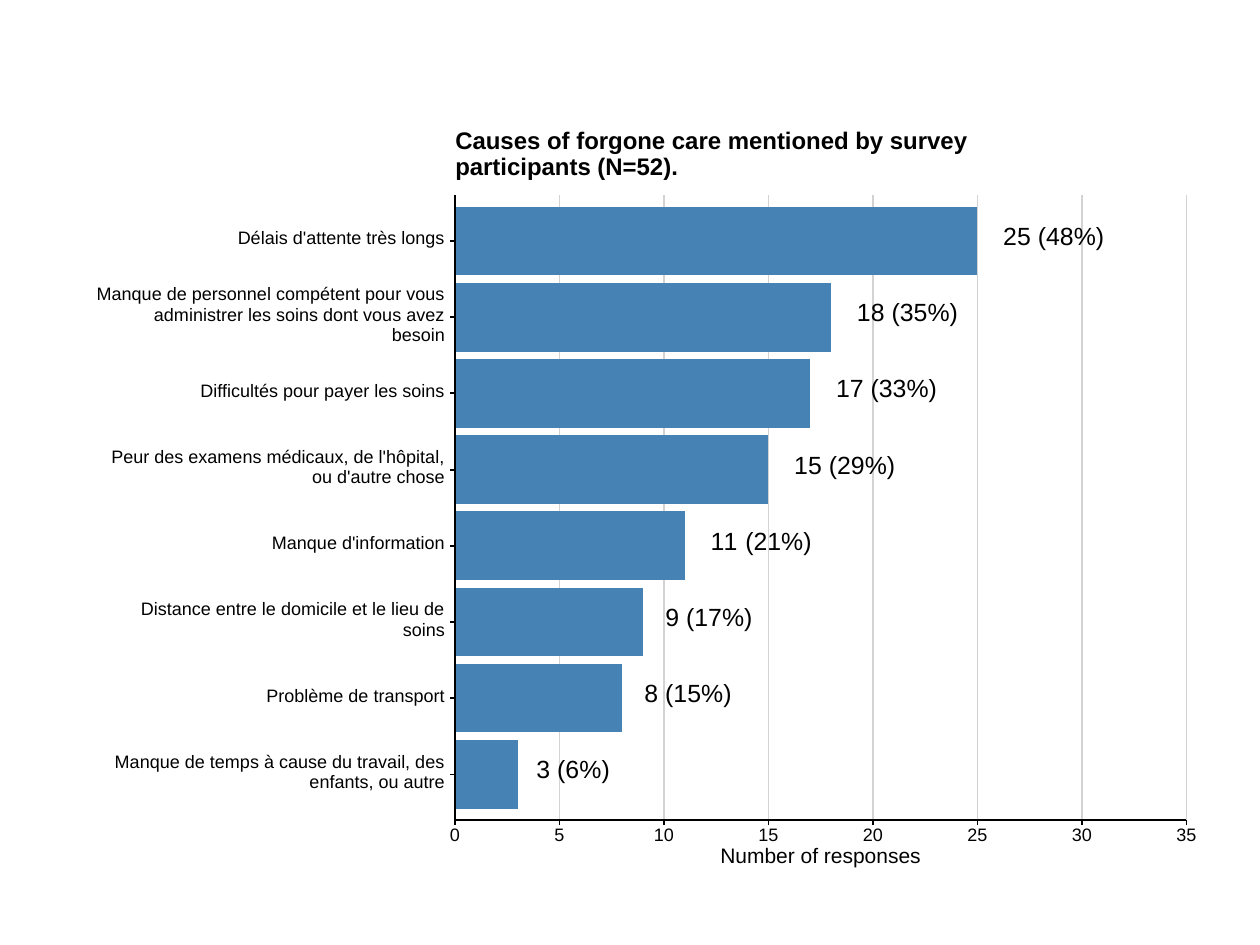
from pptx import Presentation
from pptx.chart.data import CategoryChartData as Data
from pptx.dml.color import RGBColor as RGB
from pptx.enum.chart import XL_CHART_TYPE as Kind
from pptx.enum.chart import XL_LABEL_POSITION as Spot
from pptx.enum.shapes import MSO_CONNECTOR as Link
from pptx.enum.text import MSO_ANCHOR as Anchor
from pptx.enum.text import PP_ALIGN as Align
from pptx.oxml import parse_xml
from pptx.util import Pt

TITLE = "Causes of forgone care mentioned by survey participants (N=52)."
AXIS = "Number of responses"
TOTAL, TOP, STEP = 52, 35, 5
CAUSES = [
    ("Délais d'attente très longs", 25),
    ("Manque de personnel compétent pour vous\nadministrer les soins dont vous avez\nbesoin", 18),
    ("Difficultés pour payer les soins", 17),
    ("Peur des examens médicaux, de l'hôpital,\nou d'autre chose", 15),
    ("Manque d'information", 11),
    ("Distance entre le domicile et le lieu de\nsoins", 9),
    ("Problème de transport", 8),
    ("Manque de temps à cause du travail, des\nenfants, ou autre", 3),
]
THEME = {
    "font": "Arial", "ink": RGB(0, 0, 0), "bar": RGB(0x46, 0x82, 0xB4),
    "grid": RGB(0xD3, 0xD3, 0xD3), "line": 1.07,
    "title": 13.7, "label": 14.2, "tick": 10.3, "axis": 12,
}
HEAD = (260.2, 73.2, 310, 30)
CHART = (36, 108, 648, 396)
X, Y, W, H = 260, 111.6, 418, 357.1
PITCH = H / (len(CAUSES) + 0.2)
PAD = 0.1 * PITCH
TICK = 2.75
C = "http://schemas.openxmlformats.org/drawingml/2006/chart"
A = "http://schemas.openxmlformats.org/drawingml/2006/main"
C15 = "http://schemas.microsoft.com/office/drawing/2012/chart"
CLEAR = f'<c:spPr xmlns:c="{C}" xmlns:a="{A}"><a:noFill/><a:ln><a:noFill/></a:ln></c:spPr>'
PLAIN = (f'<c:extLst xmlns:c="{C}"><c:ext uri="{{CE6537A1-D6FC-4f65-9D91-7224C49458BB}}" '
         f'xmlns:c15="{C15}"><c15:showLeaderLines val="0"/></c:ext></c:extLst>')


def put(item, **vals):
    for key, val in vals.items():
        setattr(item, key, val)


def style(font, size, bold=False):
    put(font, name=THEME["font"], size=Pt(THEME[size]), bold=bold)
    font.color.rgb = THEME["ink"]


def write(shape, text, size, align, pitch, bold=False):
    frame = shape.text_frame
    put(frame, text=text, word_wrap=True, vertical_anchor=Anchor.MIDDLE,
        margin_left=0, margin_right=0, margin_top=0, margin_bottom=0)
    for para in frame.paragraphs:
        put(para, alignment=align, line_spacing=Pt(pitch))
        style(para.runs[0].font, size, bold)


def note(slide, text, size, align, left, mid, wide, tall, pitch):
    box = slide.shapes.add_textbox(Pt(left), Pt(mid - tall / 2), Pt(wide), Pt(tall))
    write(box, text, size, align, pitch)


def rule(slide, tone, *ends):
    line = slide.shapes.add_connector(Link.STRAIGHT, *map(Pt, ends))
    line.line.color.rgb = THEME[tone]
    line.line.width = Pt(THEME["line"])
    line._element.spPr.append(parse_xml(f'<a:effectLst xmlns:a="{A}"/>'))


def place(host, nums, at, inner=False):
    for old in host.findall(f"{{{C}}}layout"):
        host.remove(old)
    tags = [("layoutTarget", "inner"), ("xMode", "edge"), ("yMode", "edge")] if inner else []
    tags += [(key, round(num, 4)) for key, num in zip("xywh", nums)]
    body = "".join(f'<c:{tag} val="{val}"/>' for tag, val in tags)
    xml = f'<c:layout xmlns:c="{C}"><c:manualLayout>{body}</c:manualLayout></c:layout>'
    host.insert(at, parse_xml(xml))


def head(slide):
    title = slide.shapes.title
    put(title, **dict(zip(("left", "top", "width", "height"), map(Pt, HEAD))))
    write(title, TITLE, "title", Align.LEFT, 14.9, True)


def labels(ser, rows):
    for idx, (_, num) in enumerate(rows):
        label = ser.points[idx].data_label
        text = f"{num} ({num / TOTAL:.0%})"
        label.text_frame.text = text
        style(label.text_frame.paragraphs[0].runs[0].font, "label")
        label.position = Spot.OUTSIDE_END
        node = ser._element.dLbls.findall(f"{{{C}}}dLbl")[idx]
        place(node, ((2 * len(text) - 4) / CHART[2], -2.3 / CHART[3]), 1)
    marks = ser._element.dLbls
    for old in marks.findall(f"{{{C}}}showLeaderLines"):
        marks.remove(old)
    marks.append(parse_xml(f'<c:showLeaderLines xmlns:c="{C}" val="0"/>'))
    marks.append(parse_xml(PLAIN))


def bars(slide):
    rows = CAUSES[::-1]
    data = Data()
    data.categories = [text.replace("\n", " ") for text, _ in rows]
    data.add_series(AXIS, [num for _, num in rows])
    chart = slide.shapes.add_chart(Kind.BAR_CLUSTERED, *map(Pt, CHART), data).chart
    put(chart, has_legend=False, has_title=False)
    style(chart.font, "label")
    put(chart.category_axis, visible=False)
    put(chart.value_axis, minimum_scale=0, maximum_scale=TOP, major_unit=STEP,
        has_major_gridlines=False, visible=False)
    plot = chart.plots[0]
    put(plot, gap_width=11, vary_by_categories=False)
    ser = plot.series[0]
    ser.format.fill.solid()
    ser.format.fill.fore_color.rgb = THEME["bar"]
    labels(ser, rows)
    root = chart._chartSpace.chart
    left, top, wide, tall = CHART
    place(root.plotArea, ((X - left) / wide, (Y + PAD - top) / tall,
                          W / wide, (H - 2 * PAD) / tall), 0, True)
    root.plotArea.append(parse_xml(CLEAR))
    root.addnext(parse_xml(CLEAR))


def axes(slide):
    base = Y + H
    rule(slide, "ink", X, base, X, Y)
    for idx, (text, _) in enumerate(CAUSES):
        mid = Y + PAD + (idx + 0.5) * PITCH
        rule(slide, "ink", X - TICK, mid, X, mid)
        note(slide, text, "tick", Align.RIGHT, 40, mid - 1.6, 214.3, 38, 11.7)
    rule(slide, "ink", X, base, X + W, base)
    for num in range(0, TOP + 1, STEP):
        mark = X + W * num / TOP
        rule(slide, "ink", mark, base + TICK, mark, base)
        note(slide, str(num), "tick", Align.CENTER, mark - 15, 477.3, 30, 12, 11.7)
    note(slide, AXIS, "axis", Align.CENTER, X, 489, W, 14, 13.8)


def main():
    deck = Presentation()
    put(deck, slide_width=Pt(720), slide_height=Pt(540))
    slide = deck.slides.add_slide(deck.slide_layouts[5])
    head(slide)
    for num in range(0, TOP + 1, STEP):
        mark = X + W * num / TOP
        rule(slide, "grid", mark, Y + H, mark, Y)
    bars(slide)
    axes(slide)
    deck.save("out.pptx")


if __name__ == "__main__":
    main()
